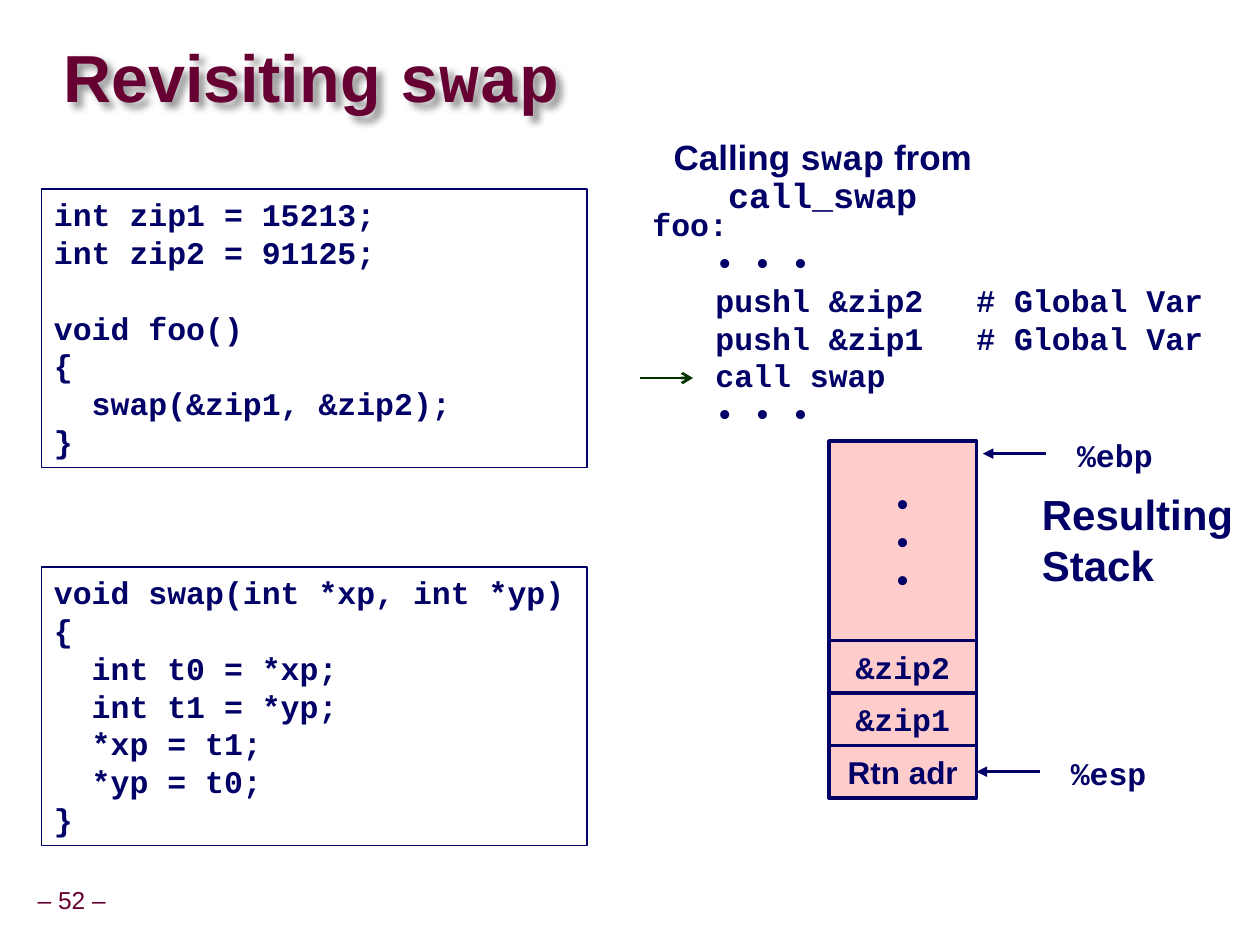
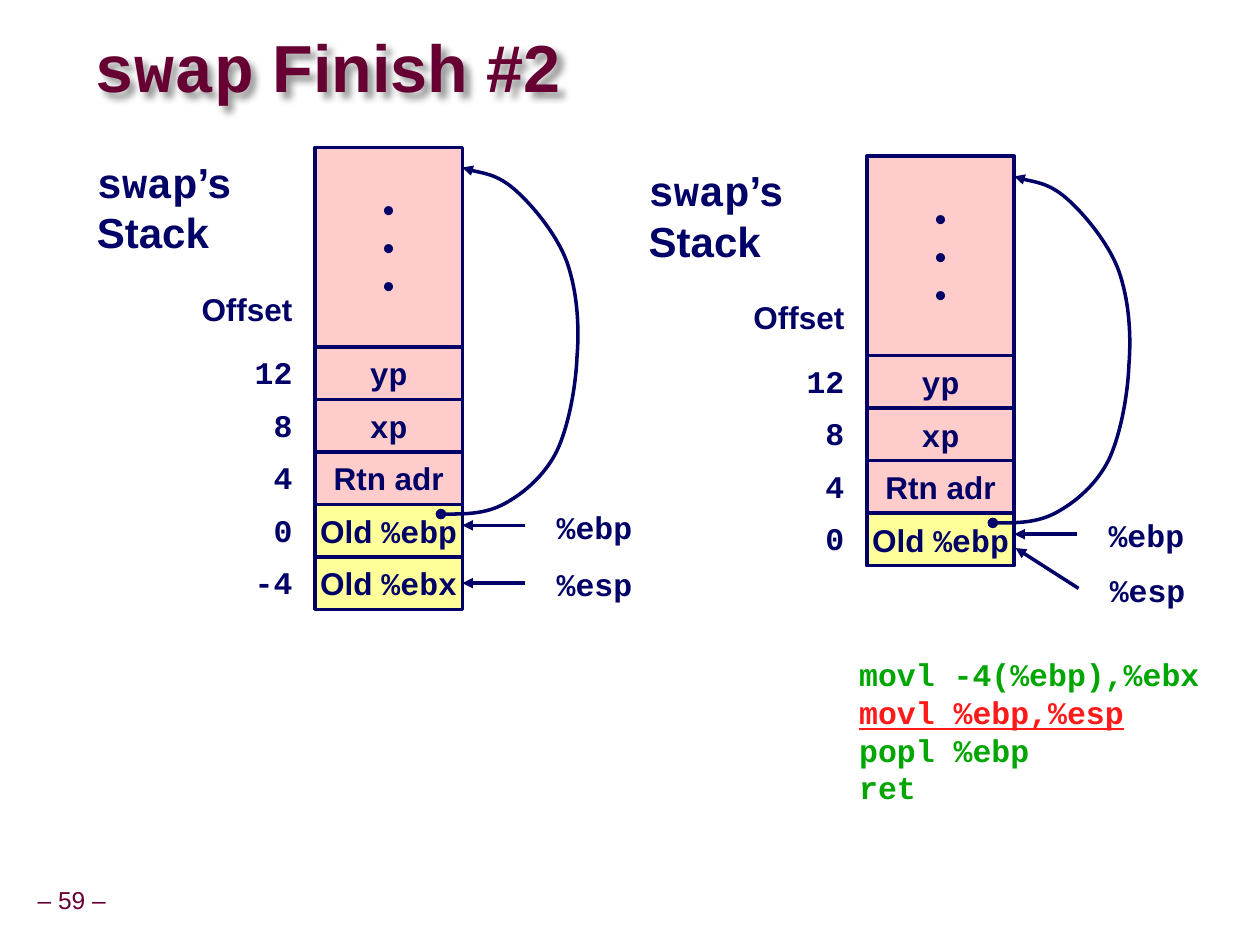
from lxml.etree import SubElement
from pptx import Presentation
from pptx.dml.color import RGBColor
from pptx.enum.shapes import MSO_CONNECTOR, MSO_SHAPE
from pptx.enum.text import MSO_ANCHOR, MSO_AUTO_SIZE, PP_ALIGN
from pptx.oxml.ns import qn
from pptx.util import Inches, Pt

MAROON = RGBColor(0x66, 0x00, 0x33)
NAVY = RGBColor(0x00, 0x00, 0x66)
PINK = RGBColor(0xFF, 0xCC, 0xCC)
YELLOW = RGBColor(0xFF, 0xFF, 0x99)
FOREST = RGBColor(0x00, 0x33, 0x00)
GREEN = RGBColor(0x00, 0xA6, 0x00)
RED = RGBColor(0xFF, 0x1A, 0x1A)

SANS, MONO = "Arial", "Courier New"
CELL_W, GAP_H, ROW_H = 1.17, 19 / 12, 5 / 12
CHAR_W = 0.15
LINE = 1.2

CALLER_CODE = [
    "int zip1 = 15213;",
    "int zip2 = 91125;",
    "",
    "void foo()",
    "{",
    "  swap(&zip1, &zip2);",
    "}",
]
SWAP_CODE = [
    "void swap(int *xp, int *yp)",
    "{",
    "  int t0 = *xp;",
    "  int t1 = *yp;",
    "  *xp = t1;",
    "  *yp = t0;",
    "}",
]
FOO_ASM = [
    "foo:",
    "\t• • •",
    "\tpushl &zip2\t# Global Var",
    "\tpushl &zip1\t# Global Var",
    "\tcall swap",
    "\t• • •",
]
FOO_TABS = (0.5, 1.62, 2.57)
FINISH_ASM = ["movl -4(%ebp),%ebx", "movl %ebp,%esp", "popl %ebp", "ret"]
CURRENT_STEP = 1

CALL_ROWS = [("`&zip2`", PINK), ("`&zip1`", PINK), ("Rtn adr", PINK)]
SWAP_ROWS = [
    ("`yp`", PINK),
    ("`xp`", PINK),
    ("Rtn adr", PINK),
    ("Old `%ebp`", YELLOW),
    ("Old `%ebx`", YELLOW),
]
OFFSETS = ["12", "8", "4", "0", "-4"]

# name, gap right of the stack, tail y, tip y; a None y joins the last row
CALL_POINTERS = [("%ebp", 0.05, 0.1, 0.1), ("%esp", 0, None, None)]
BEFORE_POINTERS = [("%ebp", 0, 3.0, 3.0), ("%esp", 0, None, None)]
AFTER_POINTERS = [("%ebp", 0, 3.0, 3.0), ("%esp", 0.01, 3.43, 3.11)]

SAVED_EBP_CURVE = [
    (1.0, 2.91),
    (1.17, 2.91), (1.35, 2.91), (1.5, 2.83),
    (1.65, 2.75), (1.82, 2.61), (1.92, 2.41),
    (2.01, 2.22), (2.07, 1.91), (2.08, 1.66),
    (2.1, 1.41), (2.08, 1.14), (2.0, 0.91),
    (1.92, 0.69), (1.72, 0.45), (1.58, 0.33),
    (1.44, 0.21), (1.24, 0.19), (1.17, 0.16),
]


def box(*lengths):
    return [Inches(n) for n in lengths]


def mono(lines):
    return [line and f"`{line}`" for line in lines]


def write(tf, lines, size, color=NAVY, bold=True, align=PP_ALIGN.LEFT, spacing=None, tabs=()):
    height = Pt(size * LINE)
    skipped = False
    p = None
    for line in lines:
        if not line:
            skipped = True
            continue
        p = tf.add_paragraph() if p is not None else tf.paragraphs[0]
        p.alignment = align
        p.line_spacing = spacing or height
        if skipped:
            p.space_before = height
            skipped = False
        for i, part in enumerate(line.split("`")):
            if not part:
                continue
            text = part
            if i == 1 and part.startswith(" "):
                text = part.lstrip(" ")
                indent = Inches(CHAR_W * (len(part) - len(text)))
                p._p.get_or_add_pPr().set("marL", str(indent))
            r = p.add_run()
            r.text = text
            r.font.name = MONO if i % 2 else SANS
            r.font.size = Pt(size)
            r.font.bold = bold
            r.font.color.rgb = color
        if tabs:
            tab_list = SubElement(p._p.get_or_add_pPr(), qn("a:tabLst"))
            for pos in tabs:
                SubElement(tab_list, qn("a:tab"), pos=str(Inches(pos)), algn="l")


def set_margins(tf, x, y):
    tf.margin_left = tf.margin_right = Inches(x)
    tf.margin_top = tf.margin_bottom = Inches(y)


def add_text(s, at, lines, size=18, wrap=False, margin=0.1, anchor=MSO_ANCHOR.TOP, **style):
    tf = s.shapes.add_textbox(*box(*at)).text_frame
    tf.word_wrap = wrap
    tf.vertical_anchor = anchor
    set_margins(tf, margin, 0.05)
    write(tf, lines, size, **style)
    return tf


def add_rect(s, at, lines, fill=None, width=2, **style):
    sp = s.shapes.add_shape(MSO_SHAPE.RECTANGLE, *box(*at))
    sp.shadow.inherit = False
    if fill is None:
        sp.fill.background()
    else:
        sp.fill.solid()
        sp.fill.fore_color.rgb = fill
    sp.line.color.rgb = NAVY
    sp.line.width = Pt(width)
    tf = sp.text_frame
    tf.word_wrap = False
    set_margins(tf, 0.1, 0.05)
    write(tf, lines, 18, **style)
    return sp


def style_line(sp, color, width, tail, head=None):
    sp.line.color.rgb = color
    sp.line.width = Pt(width)
    ln = sp.element.spPr.find(qn("a:ln"))
    if head:
        SubElement(ln, qn("a:headEnd"), type=head)
    SubElement(ln, qn("a:tailEnd"), type=tail)


def add_arrow(s, start, end, color=NAVY, width=2, tail="triangle"):
    line = s.shapes.add_connector(MSO_CONNECTOR.STRAIGHT, *box(*start, *end))
    style_line(line, color, width, tail)
    SubElement(line.element.spPr, qn("a:effectLst"))
    return line


def add_code(s, top, lines):
    sp = add_rect(s, (0.33, top, 4.33, 2.21), mono(lines), width=1)
    sp.text_frame.vertical_anchor = MSO_ANCHOR.TOP


def add_stack(s, left, top, rows, pointers):
    def cell(y, height, lines, fill):
        sp = add_rect(s, (left, y, CELL_W, height), lines, fill, align=PP_ALIGN.CENTER)
        sp.text_frame.vertical_anchor = MSO_ANCHOR.MIDDLE
        return sp

    cell(top, GAP_H, ["•"] * 3, PINK)
    for i, (text, fill) in enumerate(rows):
        last = cell(top + GAP_H + i * ROW_H, ROW_H, [text], fill)
    last_middle = GAP_H + (len(rows) - 0.5) * ROW_H
    for name, gap, tail_y, tip_y in pointers:
        joined = tip_y is None
        if joined:
            tail_y = tip_y = last_middle
        tip_x = left + CELL_W + gap
        tail_x = tip_x + 0.5
        arrow = add_arrow(s, (tail_x, top + tail_y), (tip_x, top + tip_y))
        if joined:
            arrow.end_connect(last, 3)
        add_text(s, (tail_x + 0.15, top + tail_y - 0.19, 0.8, 0.4), mono([name]))


def add_saved_ebp_curve(s, left, top):
    points = [box(left + x, top + y) for x, y in SAVED_EBP_CURVE]
    builder = s.shapes.build_freeform(*points[0], scale=1.0)
    builder.add_line_segments(points[1:], close=False)
    sp = builder.convert_to_shape()
    sp.shadow.inherit = False
    sp.fill.background()
    outline = next(sp.element.iter(qn("a:path")))
    segments = outline.findall(qn("a:lnTo"))
    for i in range(0, len(segments), 3):
        curve = SubElement(outline, qn("a:cubicBezTo"))
        for segment in segments[i:i + 3]:
            curve.append(segment[0])
            outline.remove(segment)
    style_line(sp, NAVY, 2, "triangle", "oval")


def add_swap_frame(s, left, top, count, pointers):
    add_text(s, (left - 1.83, top + 0.02, 1.28, 0.9), ["`swap`’s", "Stack"], 24)
    labels = [(top + 1.08, "Offset")]
    labels += [(top + GAP_H + i * ROW_H, f"`{n}`") for i, n in enumerate(OFFSETS[:count])]
    for y, text in labels:
        add_text(s, (left - 1.08, y, 1.0, 0.4), [text], wrap=True, align=PP_ALIGN.RIGHT)
    add_stack(s, left, top, SWAP_ROWS[:count], pointers)
    add_saved_ebp_curve(s, left, top)


def new_slide(prs, title, at, number):
    s = prs.slides.add_slide(prs.slide_layouts[5])
    sp = s.shapes.title
    sp.left, sp.top, sp.width, sp.height = box(*at)
    tf = sp.text_frame
    tf.auto_size = MSO_AUTO_SIZE.NONE
    tf.vertical_anchor = MSO_ANCHOR.MIDDLE
    set_margins(tf, 0, 0)
    write(tf, [title], 38, MAROON, spacing=0.87)
    effects = SubElement(sp.element.spPr, qn("a:effectLst"))
    shadow = SubElement(effects, qn("a:outerShdw"), blurRad="50800", dist="53882", dir="2700000")
    tint = SubElement(shadow, qn("a:srgbClr"), val="000000")
    SubElement(tint, qn("a:alpha"), val="40000")
    add_text(s, (0.24, 7, 0.66, 0.31), [f"– {number} –"], 14, margin=0.05, color=MAROON,
             bold=False, align=PP_ALIGN.CENTER, anchor=MSO_ANCHOR.MIDDLE, spacing=0.9)
    return s


def main():
    prs = Presentation()
    prs.slide_width, prs.slide_height = box(10, 7.5)

    s = new_slide(prs, "Revisiting `swap`", (0.5, 0.33, 6.43, 0.63), 52)
    add_code(s, 1.5, CALLER_CODE)
    add_code(s, 4.5, SWAP_CODE)
    add_text(s, (5.08, 1.58, 4.8, 1.9), mono(FOO_ASM), wrap=True, tabs=FOO_TABS)
    add_text(s, (5.28, 1.06, 2.5, 0.7), ["Calling `swap` from `call_swap`"], 20, wrap=True,
             margin=0.05, align=PP_ALIGN.CENTER, spacing=Pt(21.6))
    add_arrow(s, (5.08, 3), (5.5, 3), FOREST, 1.5, "arrow")
    add_stack(s, 6.58, 3.5, CALL_ROWS, CALL_POINTERS)
    add_text(s, (8.17, 3.83, 1.72, 0.9), ["Resulting", "Stack"], 24)

    s = new_slide(prs, "`swap` Finish #2", (0.75, 0.25, 6.07, 0.63), 59)
    add_swap_frame(s, 2.5, 1.17, 5, BEFORE_POINTERS)
    add_swap_frame(s, 6.88, 1.24, 4, AFTER_POINTERS)
    tf = add_text(s, (6.72, 5.15, 2.92, 1.3), mono(FINISH_ASM), color=GREEN)
    font = tf.paragraphs[CURRENT_STEP].runs[0].font
    font.color.rgb = RED
    font.underline = True

    prs.save("out.pptx")


if __name__ == "__main__":
    main()
